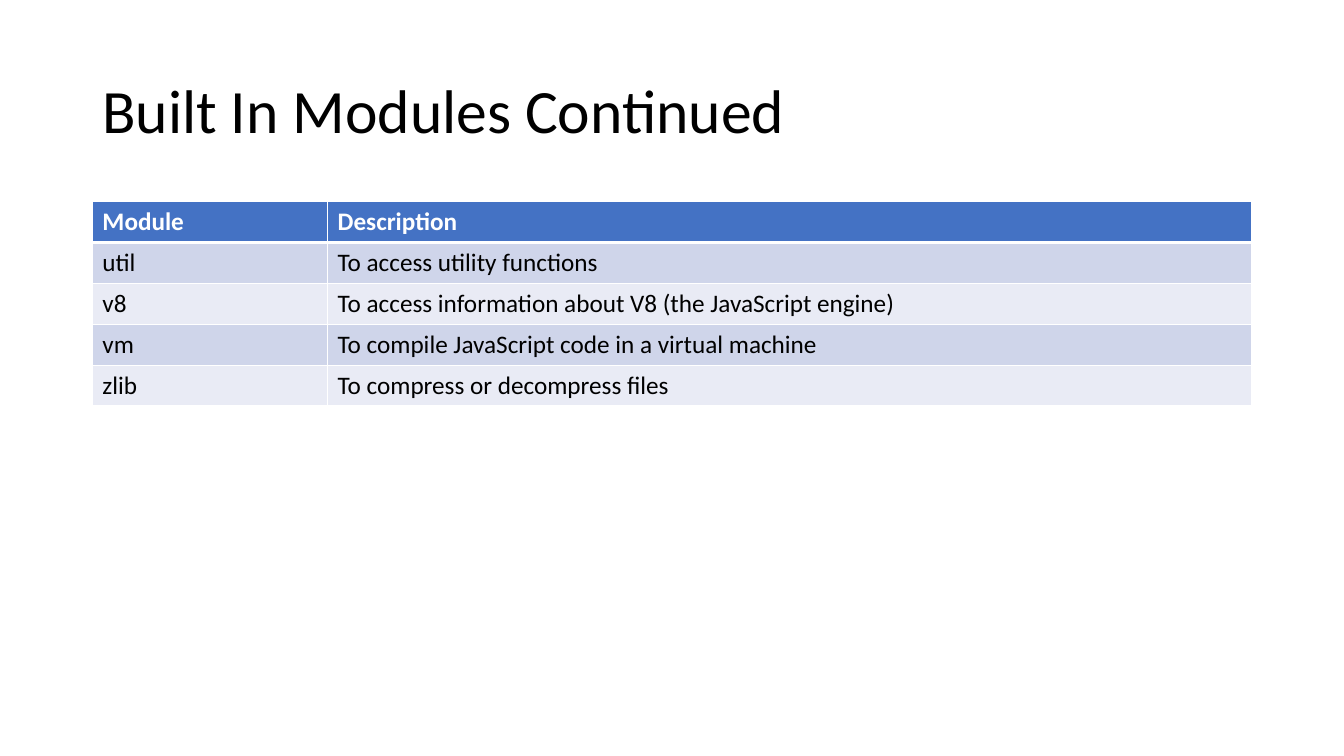
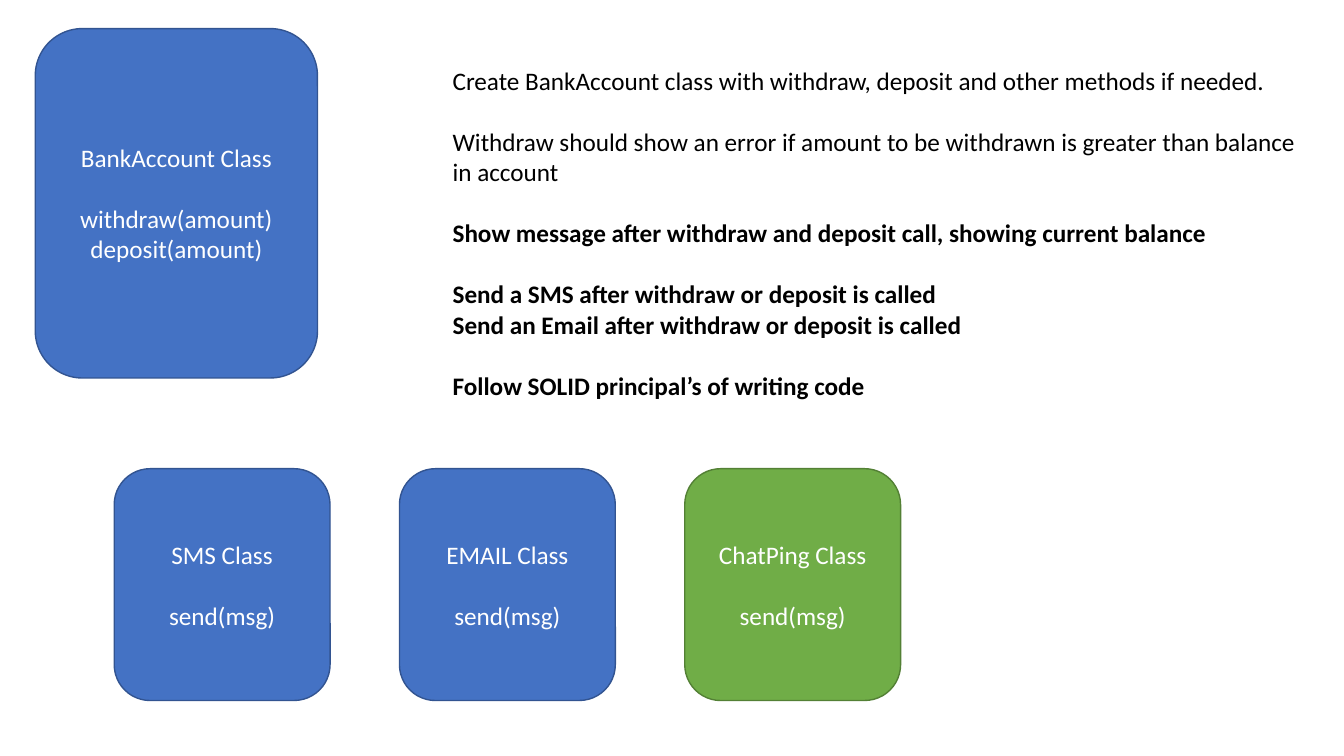
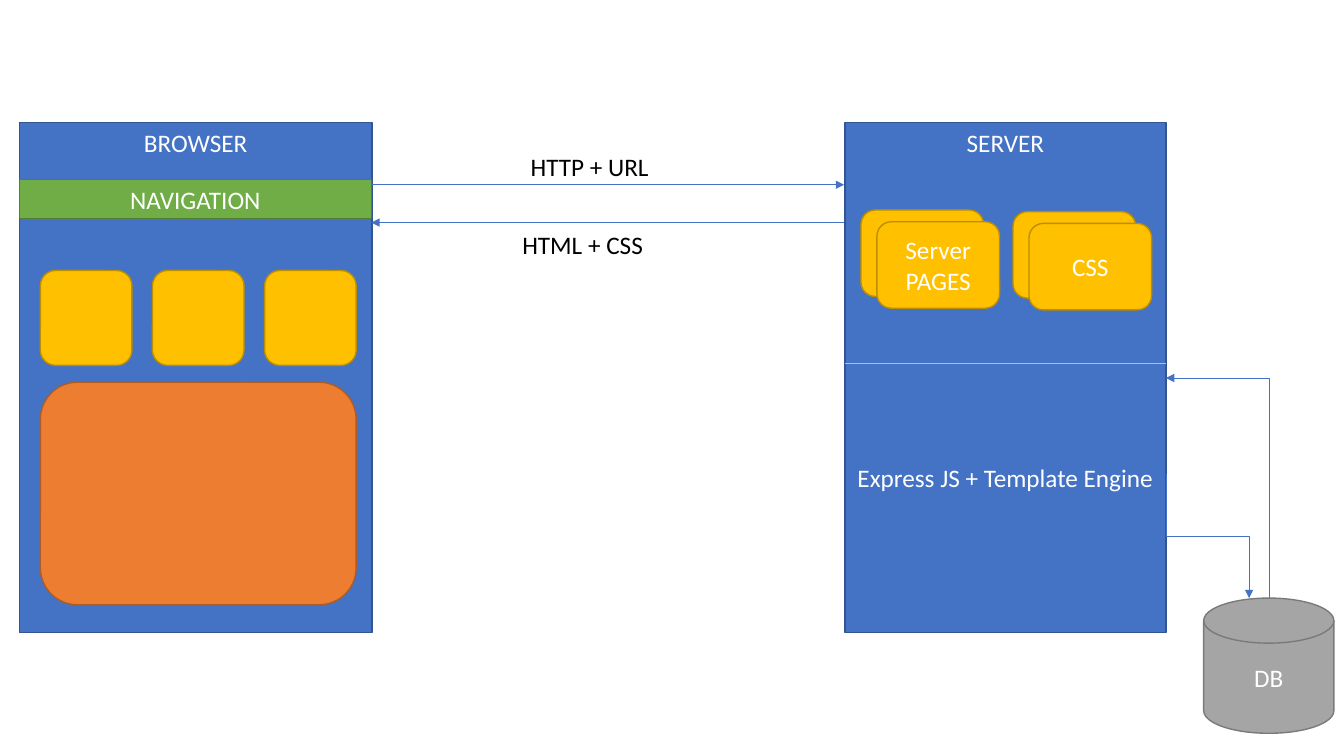
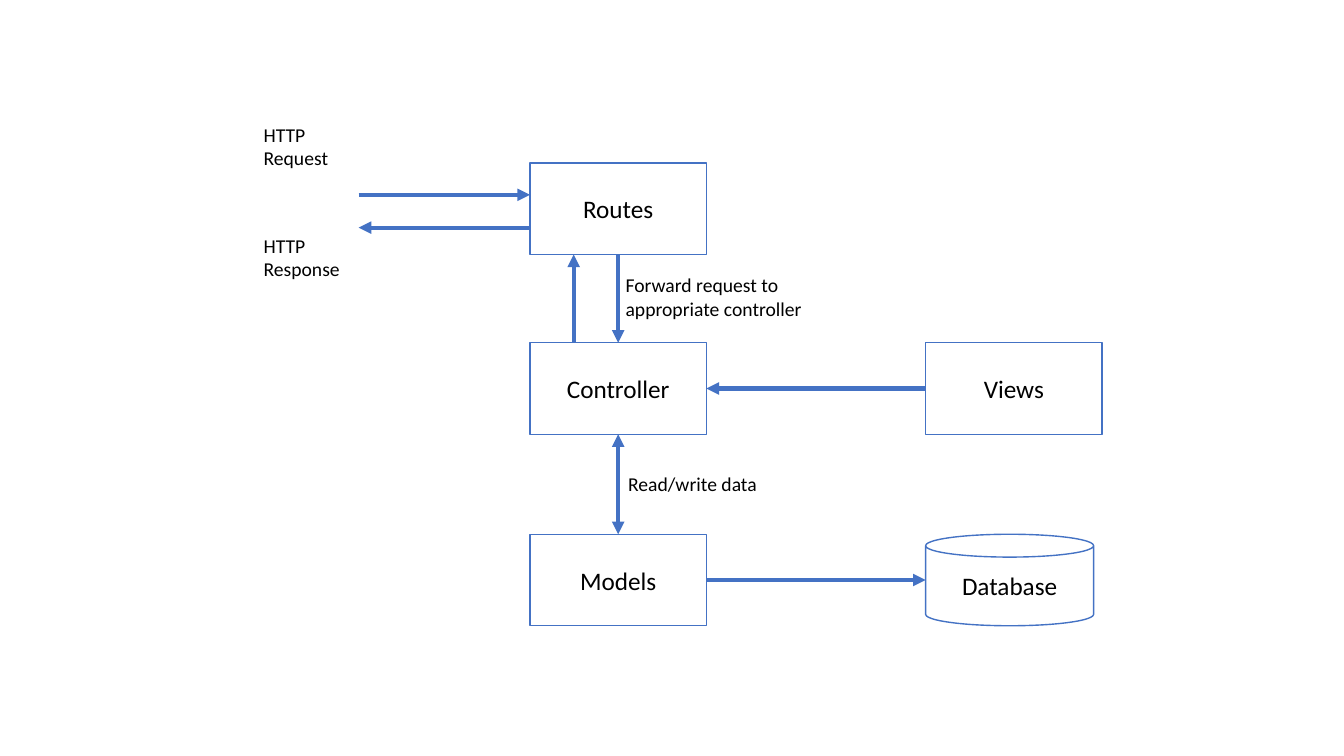
from dataclasses import dataclass

from lxml import etree
from pptx import Presentation
from pptx.dml.color import RGBColor
from pptx.enum.shapes import MSO_CONNECTOR, MSO_SHAPE
from pptx.enum.text import MSO_ANCHOR, MSO_AUTO_SIZE, PP_ALIGN
from pptx.oxml.ns import qn
from pptx.util import Inches, Pt

RECT = MSO_SHAPE.RECTANGLE
ROUND = MSO_SHAPE.ROUNDED_RECTANGLE
CAN = MSO_SHAPE.CAN
DISK = MSO_SHAPE.FLOWCHART_MAGNETIC_DISK
STRAIGHT, ELBOW = MSO_CONNECTOR.STRAIGHT, MSO_CONNECTOR.ELBOW
TOP, MIDDLE = MSO_ANCHOR.TOP, MSO_ANCHOR.MIDDLE
LEFT, CENTER = PP_ALIGN.LEFT, PP_ALIGN.CENTER
FIT_SHAPE = MSO_AUTO_SIZE.SHAPE_TO_FIT_TEXT
SIDE_TOP, SIDE_LEFT, SIDE_BOTTOM, SIDE_RIGHT = range(4)
COLS, ROWS = 160, 90


@dataclass(frozen=True)
class Theme:
    font: str = "Calibri"
    title: int = 44
    body: int = 18
    small: int = 14
    gap: int = 22
    thin: float = 0.5
    outline: float = 1
    thick: float = 3
    black: str = "000000"
    white: str = "FFFFFF"
    accent: str = "4472C4"
    bands: tuple = ("CFD5EA", "E9EBF5")
    blue: tuple = ("4472C4", "325491")
    green: tuple = ("70AD47", "538035")
    gold: tuple = ("FFC000", "BD8E00")
    orange: tuple = ("ED7D31", "AF5C24")
    grey: tuple = ("A5A5A5", "7A7A7A")
    plain: tuple = ("FFFFFF", "4472C4")


THEME = Theme()


def rgb(value):
    return RGBColor.from_string(value)


def write(tf, text, size=THEME.body, color=THEME.black, align=LEFT,
          anchor=TOP, bold=False, bold_from=None, spacing=None):
    tf.vertical_anchor = anchor
    p, gap = tf.paragraphs[0], 0
    lines = text.split("\n")
    for i, line in enumerate(lines):
        if not line:
            gap = THEME.gap
            continue
        if i:
            p = tf.add_paragraph()
        p.alignment = align
        p.space_before = Pt(gap)
        p.line_spacing = spacing
        r = p.add_run()
        r.text = line
        r.font.name, r.font.size = THEME.font, Pt(size)
        r.font.bold = bold or (bold_from is not None and i >= bold_from)
        r.font.color.rgb = rgb(color)
        gap = 0


class Deck:
    def __init__(self, theme):
        self.theme = theme
        self.prs = Presentation()
        self.prs.slide_width, self.prs.slide_height = Inches(13.33), Inches(7.5)
        self.s = None

    def new_slide(self):
        self.s = self.prs.slides.add_slide(self.prs.slide_layouts[6])

    def x(self, cols):
        return round(self.prs.slide_width * cols / COLS)

    def y(self, rows):
        return round(self.prs.slide_height * rows / ROWS)

    def place(self, x, y, w, h):
        return self.x(x), self.y(y), self.x(w), self.y(h)

    def title(self, text):
        sp = self.s.shapes.add_textbox(*self.place(11, 4.8, 138, 17.4))
        sp.text_frame.word_wrap = True
        write(sp.text_frame, text, size=self.theme.title, anchor=MIDDLE, spacing=0.9)

    def label(self, box, text, **fmt):
        tf = self.s.shapes.add_textbox(*self.place(*box)).text_frame
        tf.word_wrap = False
        tf.auto_size = FIT_SHAPE
        write(tf, text, **fmt)

    def shape(self, kind, box, colors, text="", anchor=MIDDLE, color=THEME.white):
        sp = self.s.shapes.add_shape(kind, *self.place(*box))
        sp.shadow.inherit = False
        sp.fill.solid()
        sp.fill.fore_color.rgb = rgb(colors[0])
        sp.line.color.rgb = rgb(colors[1])
        sp.line.width = Pt(self.theme.outline)
        if text:
            sp.text_frame.word_wrap = True
            write(sp.text_frame, text, color=color, align=CENTER, anchor=anchor)
        return sp

    def style_line(self, c, width, color, head, tail):
        c.line.color.rgb = rgb(color)
        c.line.width = Pt(width)
        ln = c.line._get_or_add_ln()
        for tag, on in (("a:headEnd", head), ("a:tailEnd", tail)):
            if on:
                etree.SubElement(ln, qn(tag), type="triangle")
        etree.SubElement(c._element.spPr, qn("a:effectLst"))

    def line(self, start, end, width=THEME.thin, color=THEME.accent,
             head=False, tail=True, begin=None, finish=None):
        c = self.s.shapes.add_connector(
            STRAIGHT, self.x(start[0]), self.y(start[1]), self.x(end[0]), self.y(end[1]))
        if begin:
            c.begin_connect(*begin)
        if finish:
            c.end_connect(*finish)
        self.style_line(c, width, color, head, tail)

    def vertical_elbow(self, start, end, preset):
        x1, y1, x2, y2 = self.x(start[0]), self.y(start[1]), self.x(end[0]), self.y(end[1])
        w, h = abs(y2 - y1), abs(x2 - x1)
        left, top = (x1 + x2 - w) // 2, (y1 + y2 - h) // 2
        c = self.s.shapes.add_connector(ELBOW, left, top, left + w, top + h)
        spPr = c._element.spPr
        xfrm = spPr.find(qn("a:xfrm"))
        xfrm.set("rot", "16200000")
        if y2 > y1:
            xfrm.set("flipH", "1")
        if x2 < x1:
            xfrm.set("flipV", "1")
        spPr.find(qn("a:prstGeom")).set("prst", preset)
        self.style_line(c, self.theme.thin, self.theme.accent, False, True)

    def border(self, cell, top, bottom):
        tcPr = cell._tc.get_or_add_tcPr()
        widths = {"a:lnL": 1, "a:lnR": 1, "a:lnT": top, "a:lnB": bottom}
        for tag, width in widths.items():
            ln = etree.SubElement(tcPr, qn(tag), w=str(Pt(width)))
            fill = etree.SubElement(ln, qn("a:solidFill"))
            etree.SubElement(fill, qn("a:srgbClr"), val=self.theme.white)

    def table(self, x, y, widths, row_height, rows):
        t = self.theme
        box = self.place(x, y, sum(widths), row_height * len(rows))
        tbl = self.s.shapes.add_table(len(rows), len(widths), *box).table
        for col, width in zip(tbl.columns, widths):
            col.width = self.x(width)
        for i, row in enumerate(rows):
            tbl.rows[i].height = self.y(row_height)
            header = i == 0
            for j, text in enumerate(row):
                cell = tbl.cell(i, j)
                self.border(cell, 3 if i == 1 else 1, 3 if header else 1)
                cell.fill.solid()
                cell.fill.fore_color.rgb = rgb(t.accent if header else t.bands[(i - 1) % 2])
                write(cell.text_frame, text, bold=header,
                      color=t.white if header else t.black)


def modules_slide(d):
    d.new_slide()
    d.title("Built In Modules Continued")
    d.table(11, 24, (28, 110), 4.87, [
        ("Module", "Description"),
        ("util", "To access utility functions"),
        ("v8", "To access information about V8 (the JavaScript engine)"),
        ("vm", "To compile JavaScript code in a virtual machine"),
        ("zlib", "To compress or decompress files"),
    ])


def bank_slide(d):
    t = d.theme
    d.new_slide()
    d.shape(ROUND, (4.2, 3.4, 33.6, 41.6), t.blue,
            "BankAccount Class\n\nwithdraw(amount)\ndeposit(amount)")
    d.label((52.7, 7.2, 103.9, 41.2),
            "Create BankAccount class with withdraw, deposit and other methods if needed.\n\n"
            "Withdraw should show an error if amount to be withdrawn is greater than balance\n"
            "in account\n\n"
            "Show message after withdraw and deposit call, showing current balance\n\n"
            "Send a SMS after withdraw or deposit is called\n"
            "Send an Email after withdraw or deposit is called\n\n"
            "Follow SOLID principal’s of writing code", bold_from=5)
    senders = (("SMS", t.blue), ("EMAIL", t.blue), ("ChatPing", t.green))
    for i, (name, colors) in enumerate(senders):
        d.shape(ROUND, (13.6 + 33.96 * i, 55.8, 25.7, 27.6), colors,
                f"{name} Class\n\nsend(msg)")


def web_slide(d):
    t = d.theme
    d.new_slide()
    d.shape(RECT, (100.6, 14.6, 38.2, 60.7), t.blue, "SERVER", anchor=TOP)
    d.vertical_elbow((138.8, 56.4), (148.7, 71.2), "bentConnector3")
    d.vertical_elbow((151.1, 76.6), (138.8, 45), "bentConnector2")
    d.line((100.6, 43.3), (138.8, 43.3), color=t.gold[0], tail=False)
    d.shape(DISK, (143.3, 71.2, 15.5, 16.1), t.grey, "DB")
    d.shape(RECT, (2.3, 14.6, 42, 60.7), t.blue, "BROWSER", anchor=TOP)
    d.line((44.3, 22), (100.5, 22))
    d.label((62, 17.4, 16.7, 4.8), "HTTP + URL")
    d.line((100.5, 26.5), (44.2, 26.5))
    d.label((61, 26.7, 18.4, 4.8), "HTML + CSS")
    for x, y, text in ((102.5, 25, "Server PAGES"), (120.6, 25.2, "CSS")):
        d.shape(ROUND, (x, y, 14.6, 10.3), t.gold)
        d.shape(ROUND, (x + 1.9, y + 1.4, 14.6, 10.3), t.gold, text)
    d.label((100.9, 54.5, 38, 4.8), "Express JS + Template Engine", color=t.white)
    d.shape(RECT, (2.3, 21.4, 41.9, 4.6), t.green, "NAVIGATION")
    for i in range(3):
        d.shape(ROUND, (4.8 + 13.35 * i, 32.2, 10.9, 11.3), t.gold)
    d.shape(ROUND, (4.8, 45.5, 37.6, 26.5), t.orange)


def mvc_slide(d):
    t = d.theme
    d.new_slide()

    def box(text, x, y, kind=RECT, w=21):
        return d.shape(kind, (x, y, w, 10.9), t.plain, text, color=t.black)

    routes = box("Routes", 63.1, 19.4)
    controller = box("Controller", 63.1, 40.8)
    models = box("Models", 63.1, 63.6)
    views = box("Views", 110.2, 40.8)
    box("Database", 110.2, 63.6, CAN, 20)

    d.line((42.7, 23.2), (63.1, 23.2), t.thick)
    d.line((63.1, 27.1), (42.7, 27.1), t.thick)
    d.line((68.3, 40.8), (68.3, 30.3), t.thick)
    d.line((73.6, 30.3), (73.6, 40.8), t.thick,
           begin=(routes, SIDE_BOTTOM), finish=(controller, SIDE_TOP))
    d.line((73.6, 51.7), (73.6, 63.6), t.thick, head=True,
           begin=(controller, SIDE_BOTTOM), finish=(models, SIDE_TOP))
    d.line((110.2, 46.25), (84.1, 46.25), t.thick,
           begin=(views, SIDE_LEFT), finish=(controller, SIDE_RIGHT))
    d.line((84.1, 69.05), (110.2, 69.05), t.thick, begin=(models, SIDE_RIGHT))

    for place, text in (
        ((30.2, 14, 11.6, 6.8), "HTTP\nRequest"),
        ((30.2, 27.2, 13.2, 6.8), "HTTP\nResponse"),
        ((73.3, 31.9, 23.6, 6.8), "Forward request to\nappropriate controller"),
        ((73.6, 55.6, 17.9, 4.1), "Read/write data"),
    ):
        d.label(place, text, size=t.small)


def main():
    d = Deck(THEME)
    for build in (modules_slide, bank_slide, web_slide, mvc_slide):
        build(d)
    d.prs.save("out.pptx")


if __name__ == "__main__":
    main()
